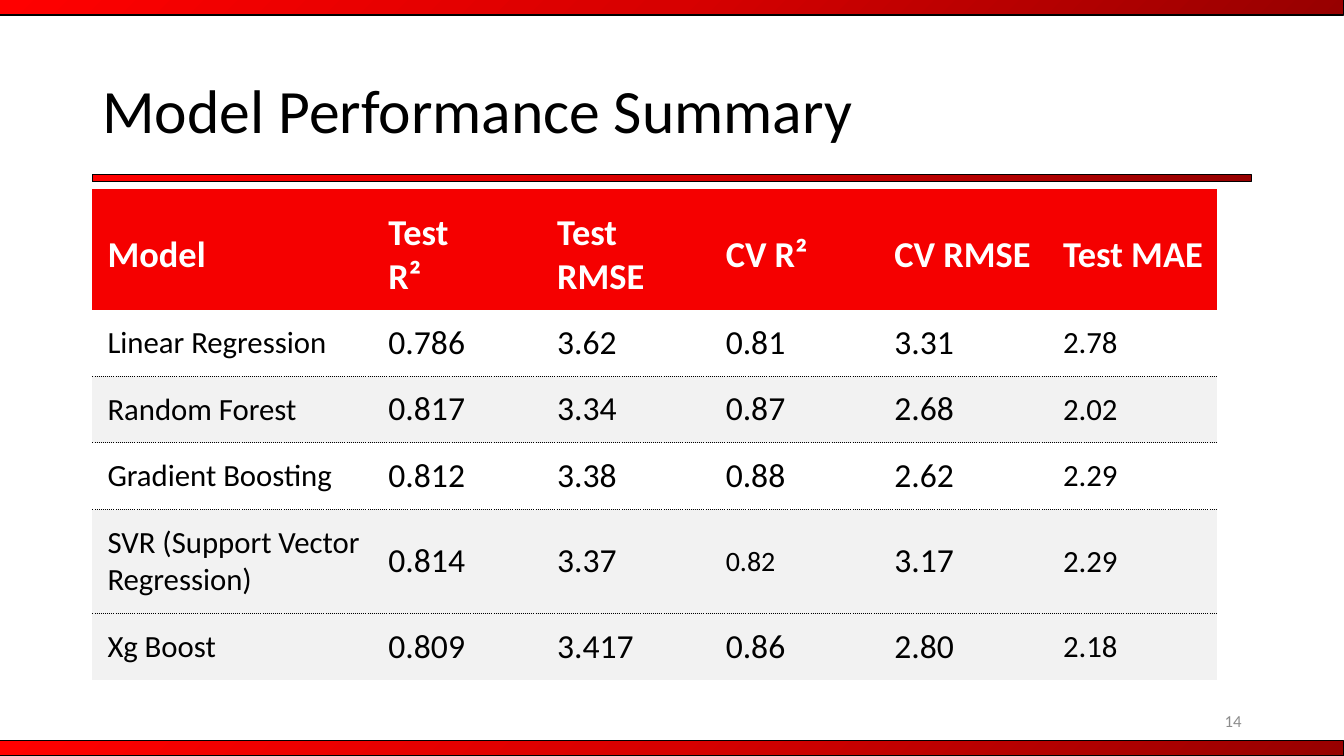
from copy import deepcopy

from lxml.etree import SubElement
from pptx import Presentation
from pptx.dml.color import RGBColor
from pptx.enum.shapes import MSO_SHAPE
from pptx.enum.text import MSO_ANCHOR, PP_ALIGN
from pptx.oxml.ns import qn
from pptx.util import Cm, Pt

BLACK = RGBColor(0x00, 0x00, 0x00)
WHITE = RGBColor(0xFF, 0xFF, 0xFF)
GREY_TEXT = RGBColor(0x8C, 0x8C, 0x8C)
BAND_GREY = RGBColor(0xF2, 0xF2, 0xF2)
HEADER_RED = RGBColor(0xF5, 0x00, 0x00)
BAR_STOPS = [
    (0, RGBColor(0x97, 0x00, 0x00)),
    (0.5, RGBColor(0xD7, 0x00, 0x00)),
    (1, RGBColor(0xFF, 0x00, 0x00)),
]
FONT = "Calibri"

SLIDE_WIDTH, SLIDE_HEIGHT = Cm(33.87), Cm(19.05)
MARGIN = Cm(2.33)
CONTENT_WIDTH = Cm(29.21)
BAR_HEIGHT = Cm(0.38)

HEADERS = ["Model", "Test\nR²", "Test RMSE", "CV R²", "CV RMSE", "Test MAE"]
RESULTS = [
    ["Linear Regression", "0.786", "3.62", "0.81", "3.31", "2.78"],
    ["Random Forest", "0.817", "3.34", "0.87", "2.68", "2.02"],
    ["Gradient Boosting", "0.812", "3.38", "0.88", "2.62", "2.29"],
    ["SVR (Support Vector Regression)", "0.814", "3.37", "0.82", "3.17", "2.29"],
    ["Xg Boost", "0.809", "3.417", "0.86", "2.80", "2.18"],
]
COLUMN_WIDTHS = [Cm(7.08)] + [Cm(4.25)] * 5
ROW_HEIGHTS = [Cm(3.03), Cm(1.68), Cm(1.68), Cm(1.68), Cm(2.62), Cm(1.68)]
COLUMN_SIZES = [22, 24, 24, 24, 24, 22]
SPECIAL_SIZES = {(4, 3): 20}
BANDED_ROWS = {2, 4, 5}


def format_text(text_frame, size, color, bold=False):
    for paragraph in text_frame.paragraphs:
        for run in paragraph.runs:
            run.font.name = FONT
            run.font.size = Pt(size)
            run.font.color.rgb = color
            run.font.bold = bold


def add_bar(slide, left, top, width, height):
    """Red gradient bar, dark at its right end."""
    bar = slide.shapes.add_shape(MSO_SHAPE.RECTANGLE, left, top, width, height)
    bar.shadow.inherit = False
    bar.line.color.rgb = BLACK
    bar.line.width = Pt(0.75)
    bar.fill.gradient()
    bar.fill.gradient_angle = 135
    stop_list = bar.fill._fill._gradFill.gsLst
    stop_list.append(deepcopy(stop_list[-1]))
    for stop, (position, color) in zip(bar.fill.gradient_stops, BAR_STOPS):
        stop.position = position
        stop.color.rgb = color


def add_text(slide, box, text, size, color, align=PP_ALIGN.LEFT):
    text_frame = slide.shapes.add_textbox(*box).text_frame
    text_frame.word_wrap = True
    text_frame.vertical_anchor = MSO_ANCHOR.MIDDLE
    text_frame.text = text
    text_frame.paragraphs[0].alignment = align
    format_text(text_frame, size, color)
    return text_frame


def add_frame(slide, width, height):
    """Bars along the top and bottom edges of the slide."""
    for top in (0, height - BAR_HEIGHT):
        add_bar(slide, 0, top, width, BAR_HEIGHT)


def add_title(slide, left, top, width, height):
    """Title with a thin bar across its lower edge."""
    add_bar(slide, left, top + height - Cm(0.3), width, Cm(0.18))
    text_frame = add_text(slide, (left, top, width, height),
                          "Model Performance Summary", 44, BLACK)
    text_frame.paragraphs[0].line_spacing = 0.9


def set_borders(cell, dotted_sides):
    """Dotted lines on the named sides, none on the others."""
    properties = cell._tc.get_or_add_tcPr()
    for index, side in enumerate(("lnL", "lnR", "lnT", "lnB")):
        line = SubElement(properties, qn(f"a:{side}"), w=str(Pt(0.75)))
        if side in dotted_sides:
            fill = SubElement(line, qn("a:solidFill"))
            SubElement(fill, qn("a:srgbClr"), val=str(BLACK))
            SubElement(line, qn("a:prstDash"), val="sysDot")
        else:
            SubElement(line, qn("a:noFill"))
        properties.insert(index, line)


def format_cell(cell, row, column):
    is_header = row == 0
    cell.vertical_anchor = MSO_ANCHOR.MIDDLE
    cell.margin_left, cell.margin_right = Cm(0.38), 0
    cell.margin_top = Cm(0.53) if is_header else Cm(0.25)
    cell.margin_bottom = Cm(0.25)
    if is_header or row in BANDED_ROWS:
        cell.fill.solid()
        cell.fill.fore_color.rgb = HEADER_RED if is_header else BAND_GREY
    else:
        cell.fill.background()
    if is_header:
        format_text(cell.text_frame, 26, WHITE, bold=True)
    else:
        size = SPECIAL_SIZES.get((row, column), COLUMN_SIZES[column])
        format_text(cell.text_frame, size, BLACK)
    # Lines run only between result rows
    dotted_sides = set()
    if row > 1:
        dotted_sides.add("lnT")
    if 0 < row < len(RESULTS):
        dotted_sides.add("lnB")
    set_borders(cell, dotted_sides)


def add_results_table(slide, left, top):
    rows = [HEADERS] + RESULTS
    table = slide.shapes.add_table(len(rows), len(HEADERS), left, top,
                                   sum(COLUMN_WIDTHS), sum(ROW_HEIGHTS)).table
    for column, width in zip(table.columns, COLUMN_WIDTHS):
        column.width = width
    for row, height in zip(table.rows, ROW_HEIGHTS):
        row.height = height
    for row, values in enumerate(rows):
        for column, value in enumerate(values):
            cell = table.cell(row, column)
            cell.text_frame.text = value
            format_cell(cell, row, column)


def add_slide_number(slide, right, top, width, height):
    text_frame = add_text(slide, (right - width, top, width, height),
                          "14", 12, GREY_TEXT, PP_ALIGN.RIGHT)
    text_frame.paragraphs[0].space_after = Pt(6)


def main():
    presentation = Presentation()
    presentation.slide_width = SLIDE_WIDTH
    presentation.slide_height = SLIDE_HEIGHT
    slide = presentation.slides.add_slide(presentation.slide_layouts[6])
    add_frame(slide, SLIDE_WIDTH, SLIDE_HEIGHT)
    add_title(slide, MARGIN, Cm(1.01), CONTENT_WIDTH, Cm(3.68))
    add_slide_number(slide, MARGIN + CONTENT_WIDTH, Cm(17.66), Cm(7.62), Cm(1.01))
    add_results_table(slide, MARGIN, Cm(4.77))
    presentation.save("out.pptx")


if __name__ == "__main__":
    main()
